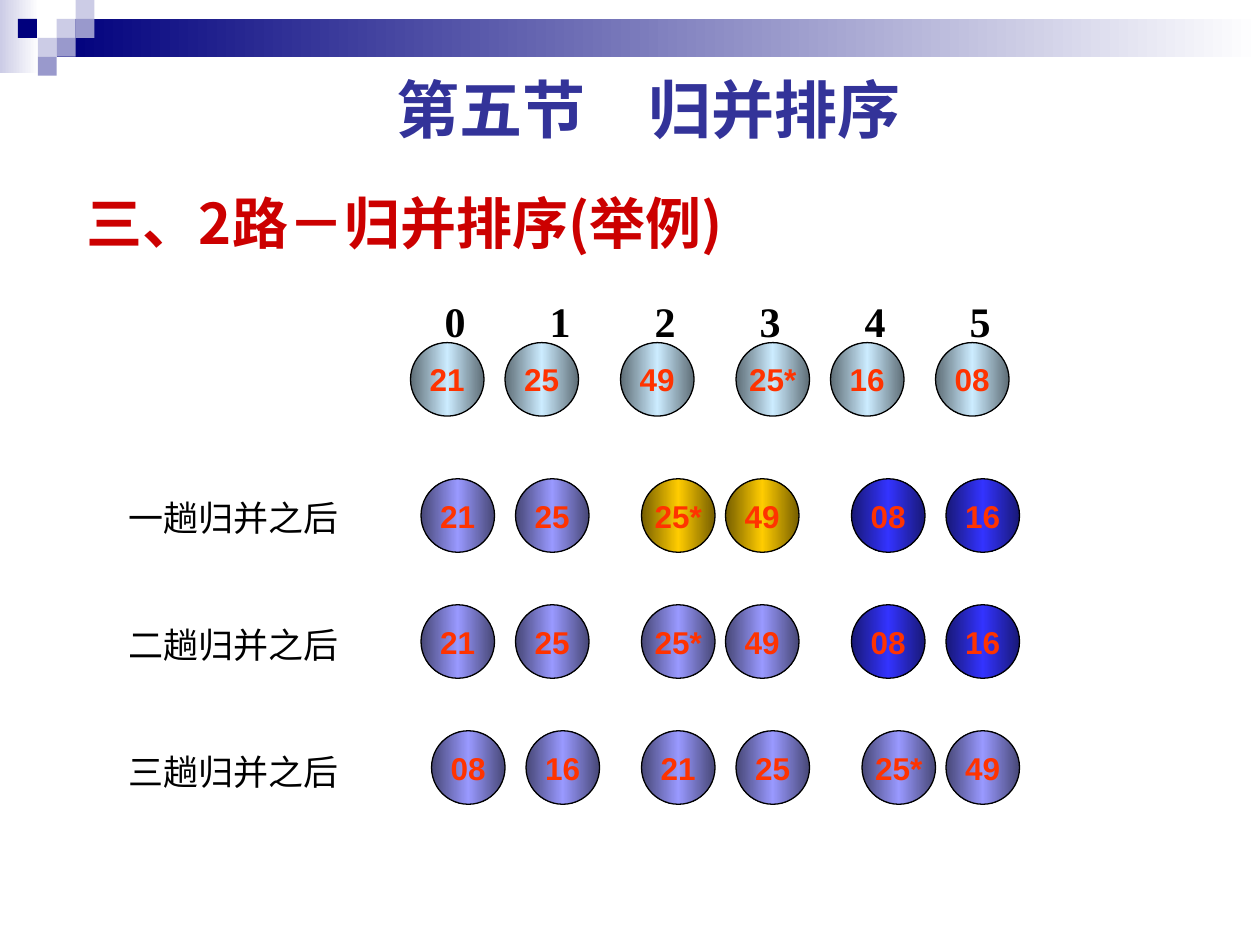
"""Builds the slide that walks through a two-way merge sort of six keys."""
import copy

import pptx
import pptx.dml.color
import pptx.enum.shapes
import pptx.enum.text
import pptx.oxml.ns
import pptx.util

Pt = pptx.util.Pt
SHAPES = pptx.enum.shapes.MSO_SHAPE
ALIGN = pptx.enum.text.PP_ALIGN
ANCHOR = pptx.enum.text.MSO_ANCHOR
qn = pptx.oxml.ns.qn


class Theme:
    """Colours, fonts and type sizes of the slide."""
    navy, lilac, violet, white = "00007D", "CCCCE6", "9999CC", "FFFFFF"
    title, heading, black, key = "333399", "CC0000", "000000", "FF3300"
    balls = {
        "ice": ("5E6D76", "CCECFF", "5E6D76"),
        "lavender": ("474776", "9999FF", "474776"),
        "gold": ("765E00", "FFCC00", "765E00"),
        "blue": ("181876", "3333FF", "181876"),
    }
    label_font, heading_font = "Cabin", "Noto Sans CJK SC"
    index_font, key_font = "Times New Roman", "Arial"
    title_size, heading_size, index_size, label_size, key_size = 36, 32, 24, 20, 18


TITLE = "第五节　归并排序"
HEADING = "三、2路－归并排序(举例)"
PASSES = ["一趟归并之后", "二趟归并之后", "三趟归并之后"]
INDEXES = ["0", "1", "2", "3", "4", "5"]

# top, grid columns, keys, ball styles of each pair
ROWS = [
    (195.8, (0, 9, 20, 31, 40, 50), ("21", "25", "49", "25*", "16", "08"), ("ice", "ice", "ice")),
    (273.6, (1, 10, 22, 30, 42, 51), ("21", "25", "25*", "49", "08", "16"), ("lavender", "gold", "blue")),
    (345.6, (1, 10, 22, 30, 42, 51), ("21", "25", "25*", "49", "08", "16"), ("lavender", "lavender", "blue")),
    (417.6, (2, 11, 22, 31, 43, 51), ("08", "16", "21", "25", "25*", "49"), ("lavender", "lavender", "lavender")),
]
BANDS = [
    ((0, 0, 22.3, 41.8), (Theme.lilac, Theme.white)),
    ((32.4, 10.8, 687.6, 21.6), (Theme.navy, Theme.white)),
]
TILES = [
    (3, 1, Theme.lilac), (4, 0, Theme.lilac), (4, 1, Theme.violet), (2, 2, Theme.lilac),
    (0.95, 1, Theme.navy), (3, 2, Theme.violet), (2, 3, Theme.violet),
]
TILE, BALL, GRID, GRID_LEFT = 10.8, 42, 6, 234.6
INDEX_STEP, PASS_GAP = 60, 48.6


def rgb(code):
    return pptx.dml.color.RGBColor.from_string(code)


def add_shape(page, kind, place, colors):
    shape = page.shapes.add_shape(kind, *map(Pt, place))
    shape.shadow.inherit = False
    shape.line.fill.background()
    if len(colors) == 1:
        shape.fill.solid()
        shape.fill.fore_color.rgb = rgb(colors[0])
        return shape
    shape.fill.gradient()
    shape.fill.gradient_angle = 0
    stop_list = shape.element.spPr.find(".//" + qn("a:gsLst"))
    while len(stop_list) < len(colors):
        stop_list.append(copy.deepcopy(stop_list[0]))
    for number, (stop, color) in enumerate(zip(shape.fill.gradient_stops, colors)):
        stop.position = number / (len(colors) - 1)
        stop.color.rgb = rgb(color)
    return shape


def style(para, font, size, color, bold=True):
    for span in para.runs:
        span.font.name, span.font.size, span.font.bold = font, Pt(size), bold
        span.font.color.rgb = rgb(color)
        east_asian = span.font._element.makeelement(qn("a:ea"), {"typeface": font})
        span.font._element.find(qn("a:latin")).addnext(east_asian)


def add_text(page, place, text, font, size, color, bold=True):
    box = page.shapes.add_textbox(*map(Pt, place))
    box.text_frame.word_wrap = True
    box.text_frame.text = text
    for para in box.text_frame.paragraphs:
        style(para, font, size, color, bold)
    return box.text_frame


def add_ball(page, left, top, key, colors):
    ball = add_shape(page, SHAPES.OVAL, (left, top, BALL, BALL), colors)
    ball.line.color.rgb = rgb(Theme.black)
    ball.line.width = Pt(0.75)
    frame = ball.text_frame
    frame.word_wrap = False
    frame.vertical_anchor = ANCHOR.MIDDLE
    frame.text = key
    frame.paragraphs[0].alignment = ALIGN.CENTER
    style(frame.paragraphs[0], Theme.key_font, Theme.key_size, Theme.key)


def main():
    deck = pptx.Presentation()
    deck.slide_width, deck.slide_height = Pt(720), Pt(540)
    page = deck.slides.add_slide(deck.slide_layouts[6])

    for place, colors in BANDS:
        add_shape(page, SHAPES.RECTANGLE, place, colors)
    for column, row, color in TILES:
        add_shape(page, SHAPES.RECTANGLE, (column * TILE, row * TILE, TILE, TILE), (color,))

    heading = add_text(page, (42.5, 100, 450, 54), HEADING,
                       Theme.heading_font, Theme.heading_size, Theme.heading)
    heading.vertical_anchor = ANCHOR.MIDDLE

    indexes = add_text(page, (247, 165.6, 350, 36), "\t".join(INDEXES),
                       Theme.index_font, Theme.index_size, Theme.black)
    properties = indexes.paragraphs[0]._p.get_or_add_pPr()
    tabs = properties.makeelement(qn("a:tabLst"), {})
    properties.append(tabs)
    for number in range(1, len(INDEXES)):
        position = str(int(Pt(number * INDEX_STEP)))
        tabs.append(tabs.makeelement(qn("a:tab"), {"pos": position, "algn": "l"}))

    for top, columns, keys, pair_styles in ROWS:
        for number, (column, key) in enumerate(zip(columns, keys)):
            colors = Theme.balls[pair_styles[number // 2]]
            add_ball(page, GRID_LEFT + column * GRID, top, key, colors)

    passes = add_text(page, (66.2, 280, 150, 177), "\n".join(PASSES),
                      Theme.label_font, Theme.label_size, Theme.black, bold=False)
    for para in passes.paragraphs[1:]:
        para.space_before = Pt(PASS_GAP)

    title = add_text(page, (37.4, 36.7, 666, 50.4), TITLE,
                     Theme.label_font, Theme.title_size, Theme.title)
    title.paragraphs[0].alignment = ALIGN.CENTER

    deck.save("out.pptx")


if __name__ == "__main__":
    main()
